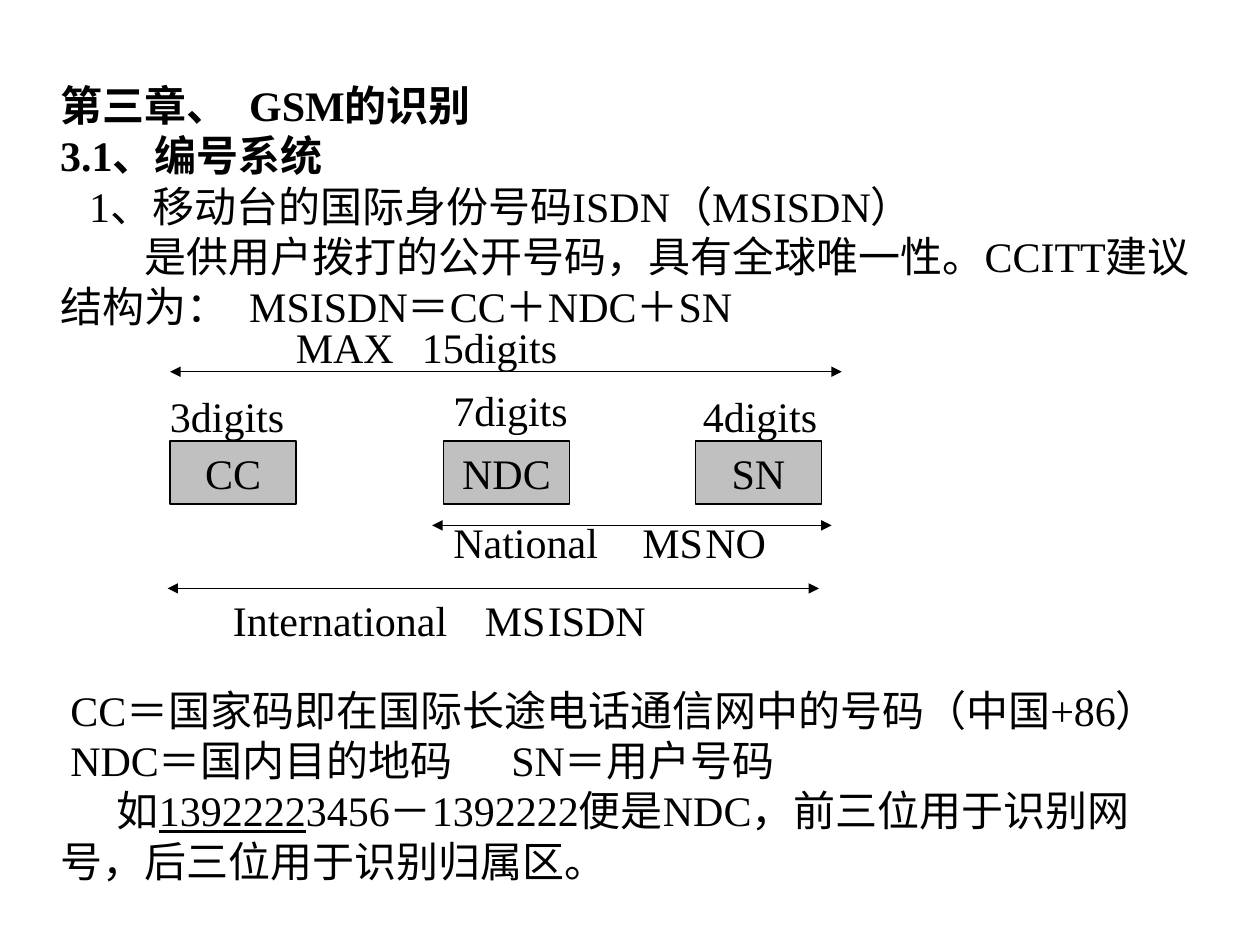
"""Build the slide on GSM numbering and the MSISDN structure."""
from lxml import etree
from pptx import Presentation
from pptx.dml.color import RGBColor
from pptx.enum import shapes, text
from pptx.oxml import ns
from pptx.util import Inches, Pt

FONT = "Times New Roman"
INK = "000000"
GREY = "C0C0C0"
HEAD = [
    dict(words="第三章、\tGSM的识别", bold=True, tabs=[1.55]),
    dict(words="3.1、编号系统", bold=True),
    dict(words="1、移动台的国际身份号码ISDN（MSISDN）", indent=0.23),
    dict(words="是供用户拨打的公开号码，具有全球唯一性。CCITT建议", indent=0.67),
    dict(words="结构为：\tMSISDN＝CC＋NDC＋SN", tabs=[1.55]),
]
NOTES = [
    dict(words="CC＝国家码即在国际长途电话通信网中的号码（中国+86）", indent=0.08),
    dict(words="NDC＝国内目的地码\tSN＝用户号码", indent=0.08, tabs=[3.72]),
    dict(words="如|1392222|3456－1392222便是NDC，前三位用于识别网", indent=0.45),
    dict(words="号，后三位用于识别归属区。"),
]
LABELS = [
    ("MAX\t15digits", 2.25, 2.5, 2.5, [1.1]),
    ("3digits", 1.25, 3.05, 1.2, []),
    ("7digits", 3.5, 3, 1.39, []),
    ("4digits", 5.48, 3.05, 1.2, []),
    ("National\tMS\tNO", 3.5, 4.05, 2.75, [1.31, 1.96]),
    ("International\tMS\tISDN", 1.75, 4.67, 3.7, [1.95, 2.6]),
]
PARTS = [("CC", 1.35), ("NDC", 3.52), ("SN", 5.52)]
SPANS = [(1.35, 6.68, 2.95), (3.43, 6.6, 4.17), (1.33, 6.5, 4.67)]


def tint(code):
    """Return the colour for a hex string."""
    return RGBColor.from_string(code)


def write(para, words, bold=False, indent=0, tabs=(), align=text.PP_ALIGN.LEFT):
    """Fill a paragraph; bars enclose the underlined part."""
    para.alignment = align
    props = para._p.get_or_add_pPr()
    props.set("marL", str(Inches(indent)))
    props.set("indent", "0")
    if tabs:
        stops = etree.SubElement(props, ns.qn("a:tabLst"))
        for pos in tabs:
            etree.SubElement(stops, ns.qn("a:tab"), pos=str(Inches(pos)), algn="l")
    for num, part in enumerate(words.split("|")):
        run = para.add_run()
        run.text = part
        font = run.font
        font.name, font.size, font.bold = FONT, Pt(24), bold
        font.color.rgb = tint(INK)
        if num % 2:
            font.underline = True


def block(slide, left, top, width, height, lines):
    """Add a text box with one paragraph per line."""
    box = slide.shapes.add_textbox(
        Inches(left), Inches(top), Inches(width), Inches(height))
    frame = box.text_frame
    frame.word_wrap = True
    for num, line in enumerate(lines):
        write(frame.add_paragraph() if num else frame.paragraphs[0], **line)


def cell(slide, name, left):
    """Add one grey box of the number."""
    box = slide.shapes.add_shape(
        shapes.MSO_SHAPE.RECTANGLE, Inches(left), Inches(3.5), Inches(1), Inches(0.5))
    box.shadow.inherit = False
    box.fill.solid()
    box.fill.fore_color.rgb = tint(GREY)
    box.line.color.rgb = tint(INK)
    box.line.width = Pt(0.75)
    frame = box.text_frame
    frame.word_wrap = False
    frame.vertical_anchor = text.MSO_ANCHOR.MIDDLE
    write(frame.paragraphs[0], name, align=text.PP_ALIGN.CENTER)


def span(slide, left, right, top):
    """Add a level line with an arrowhead at each end."""
    line = slide.shapes.add_connector(
        shapes.MSO_CONNECTOR.STRAIGHT,
        Inches(left), Inches(top), Inches(right), Inches(top))
    line.line.color.rgb = tint(INK)
    line.line.width = Pt(0.75)
    for end in ("a:headEnd", "a:tailEnd"):
        etree.SubElement(line.line._get_or_add_ln(), ns.qn(end), type="triangle")
    etree.SubElement(line._element.spPr, ns.qn("a:effectLst"))


def main():
    """Build and save the slide."""
    deck = Presentation()
    deck.slide_width, deck.slide_height = Inches(10), Inches(7.5)
    slide = deck.slides.add_slide(deck.slide_layouts[6])
    block(slide, 0.38, 0.58, 9.5, 2.1, HEAD)
    block(slide, 0.38, 5.38, 9.5, 1.7, NOTES)
    for name, left in PARTS:
        cell(slide, name, left)
    for ends in SPANS:
        span(slide, *ends)
    for words, left, top, width, tabs in LABELS:
        block(slide, left, top, width, 0.5, [dict(words=words, tabs=tabs)])
    deck.save("out.pptx")


if __name__ == "__main__":
    main()
